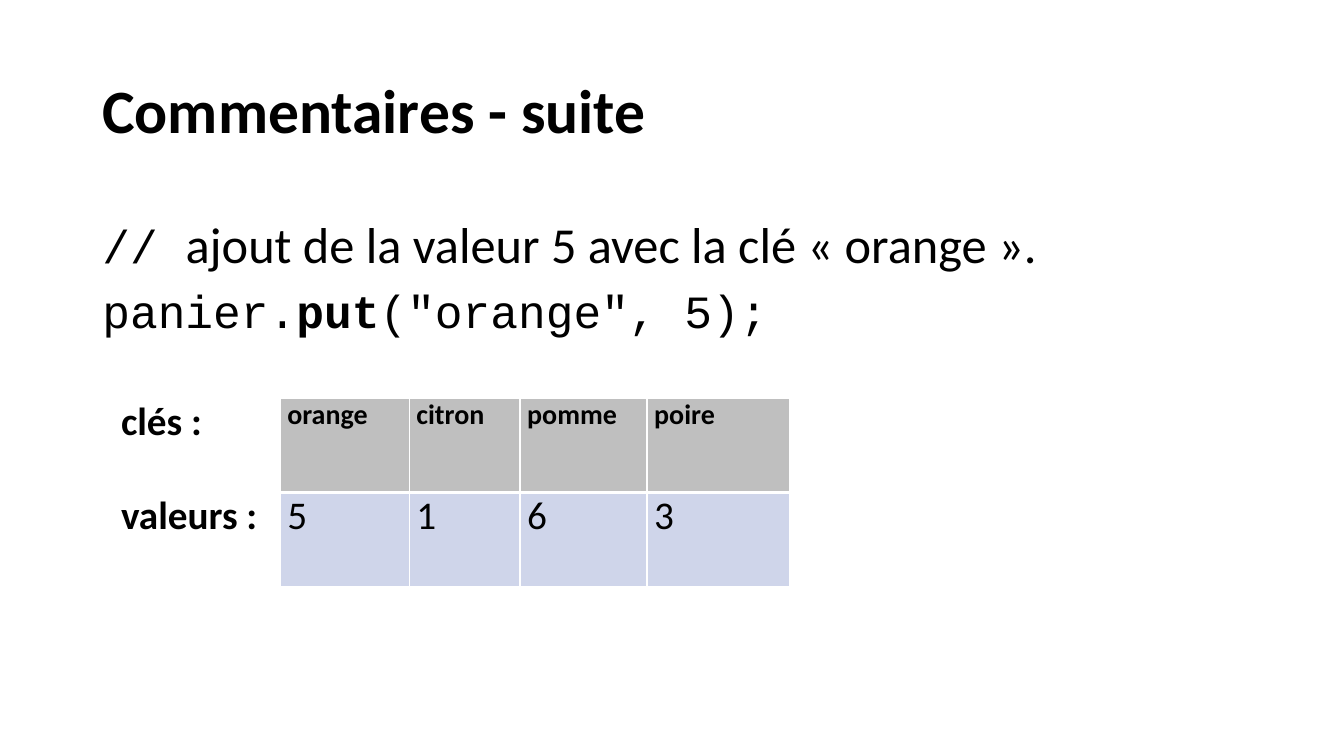
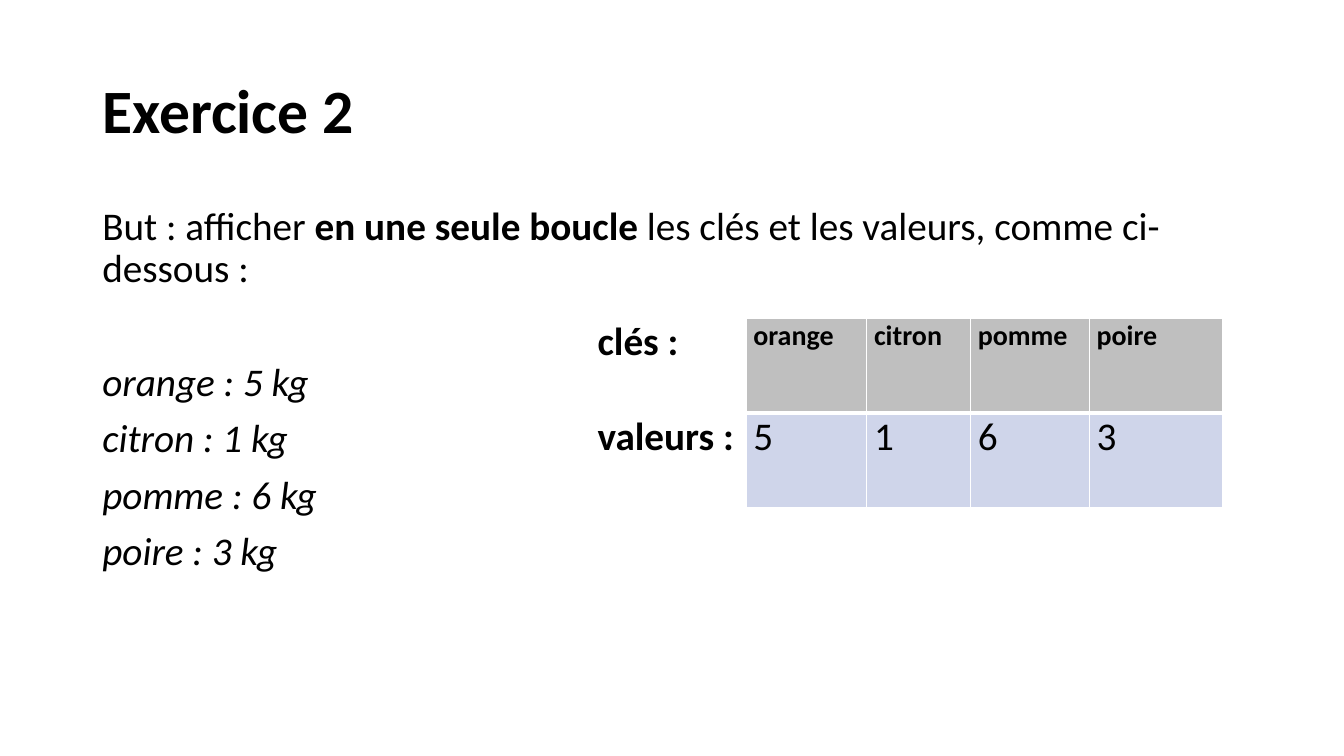
"""Build two slides on a fruit basket map: a commented put call and an exercise."""
from lxml.etree import SubElement
from pptx import Presentation
from pptx.dml.color import RGBColor
from pptx.enum.text import MSO_ANCHOR, PP_ALIGN
from pptx.oxml.ns import qn
from pptx.util import Cm, Pt

COLORS = {"text": "000000", "background": "FFFFFF", "border": "FFFFFF",
          "key": "BFBFBF", "value": "CFD5EA"}
SANS, CODE = "Calibri", "Courier New"
LEFT, WIDTH = 2.33, 29.21
TITLE_TOP, TITLE_HEIGHT = 1.01, 3.68
ROW_HEIGHT = 2.38
COLUMN_SHARES = (1.65, 1.28, 1.1, 1.26, 1.41)
LINE_SPACING, PARAGRAPH_GAP, BLOCK_GAP = 0.9, 10, 51

BASKET = {"orange": 5, "citron": 1, "pomme": 6, "poire": 3}
TABLE_ROWS = [["clés :", *BASKET], ["valeurs :", *map(str, BASKET.values())]]

SLIDES = [
    {
        "title": "Commentaires - suite",
        "body_top": 5.43,
        "body_height": 4.6,
        "paragraphs": [
            (0, [("// ", CODE, 33, ""),
                 ("ajout de la valeur 5 avec la clé « orange ».", SANS, 36, "")]),
            (PARAGRAPH_GAP, [("panier.", CODE, 33, ""),
                             ("put", CODE, 33, "bold"),
                             ("(\"orange\", 5);", CODE, 33, "")]),
        ],
        "table": (2.87, 10.03, 17.02),
    },
    {
        "title": "Exercice 2",
        "body_top": 5.08,
        "body_height": 12.09,
        "paragraphs": [
            (0, [("But : afficher ", SANS, 28, ""),
                 ("en une seule boucle", SANS, 28, "bold"),
                 (" les clés et les valeurs, comme ci-dessous :", SANS, 28, "")]),
            *((PARAGRAPH_GAP if index else BLOCK_GAP,
               [(f"{fruit} : {weight} kg", SANS, 28, "italic")])
              for index, (fruit, weight) in enumerate(BASKET.items())),
        ],
        "table": (14.88, 8.03, 15.93),
    },
]


def color(name):
    return RGBColor.from_string(COLORS[name])


def add_run(paragraph, text, font_name, size, style):
    run = paragraph.add_run()
    run.text = text
    font = run.font
    font.name, font.size = font_name, Pt(size)
    font.bold, font.italic = style == "bold", style == "italic"
    font.color.rgb = color("text")


def add_text(slide, top, height, paragraphs, anchor=MSO_ANCHOR.TOP):
    box = slide.shapes.add_textbox(Cm(LEFT), Cm(top), Cm(WIDTH), Cm(height))
    frame = box.text_frame
    frame.word_wrap = True
    frame.vertical_anchor = anchor
    for index, (gap, runs) in enumerate(paragraphs):
        paragraph = frame.add_paragraph() if index else frame.paragraphs[0]
        paragraph.line_spacing = LINE_SPACING
        if gap:
            paragraph.space_before = Pt(gap)
        for run in runs:
            add_run(paragraph, *run)


def set_borders(cell, widths):
    properties = cell._tc.get_or_add_tcPr()
    for side, width in widths.items():
        line = SubElement(properties, qn(f"a:ln{side}"), w=str(Pt(width)))
        fill = SubElement(line, qn("a:solidFill"))
        SubElement(fill, qn("a:srgbClr"), val=COLORS["border"])


def style_cell(cell, text, is_label, is_key):
    cell.margin_left = cell.margin_right = Cm(0.18)
    cell.margin_top = cell.margin_bottom = 0
    set_borders(cell, {"L": 1, "R": 1, "T": 1 if is_key else 3, "B": 3 if is_key else 1})
    if is_label:
        cell.fill.background()
    else:
        cell.fill.solid()
        cell.fill.fore_color.rgb = color("key" if is_key else "value")
    paragraph = cell.text_frame.paragraphs[0]
    paragraph.alignment = PP_ALIGN.JUSTIFY
    size = 20 if is_key and not is_label else 28
    add_run(paragraph, text, SANS, size, "bold" if is_key or is_label else "")


def add_basket_table(slide, left, top, width):
    table = slide.shapes.add_table(
        len(TABLE_ROWS), len(COLUMN_SHARES), Cm(left), Cm(top),
        Cm(width), Cm(ROW_HEIGHT * len(TABLE_ROWS))).table
    table.first_row = table.horz_banding = False
    for column, share in zip(table.columns, COLUMN_SHARES):
        column.width = Cm(width * share / sum(COLUMN_SHARES))
    for row_index, texts in enumerate(TABLE_ROWS):
        table.rows[row_index].height = Cm(ROW_HEIGHT)
        for column_index, text in enumerate(texts):
            style_cell(table.cell(row_index, column_index), text,
                       column_index == 0, row_index == 0)


def main():
    presentation = Presentation()
    presentation.slide_width, presentation.slide_height = Cm(33.87), Cm(19.05)
    for content in SLIDES:
        slide = presentation.slides.add_slide(presentation.slide_layouts[6])
        slide.background.fill.solid()
        slide.background.fill.fore_color.rgb = color("background")
        title = [(0, [(content["title"], SANS, 44, "bold")])]
        add_text(slide, TITLE_TOP, TITLE_HEIGHT, title, MSO_ANCHOR.MIDDLE)
        add_text(slide, content["body_top"], content["body_height"], content["paragraphs"])
        add_basket_table(slide, *content["table"])
    presentation.save("out.pptx")


if __name__ == "__main__":
    main()
